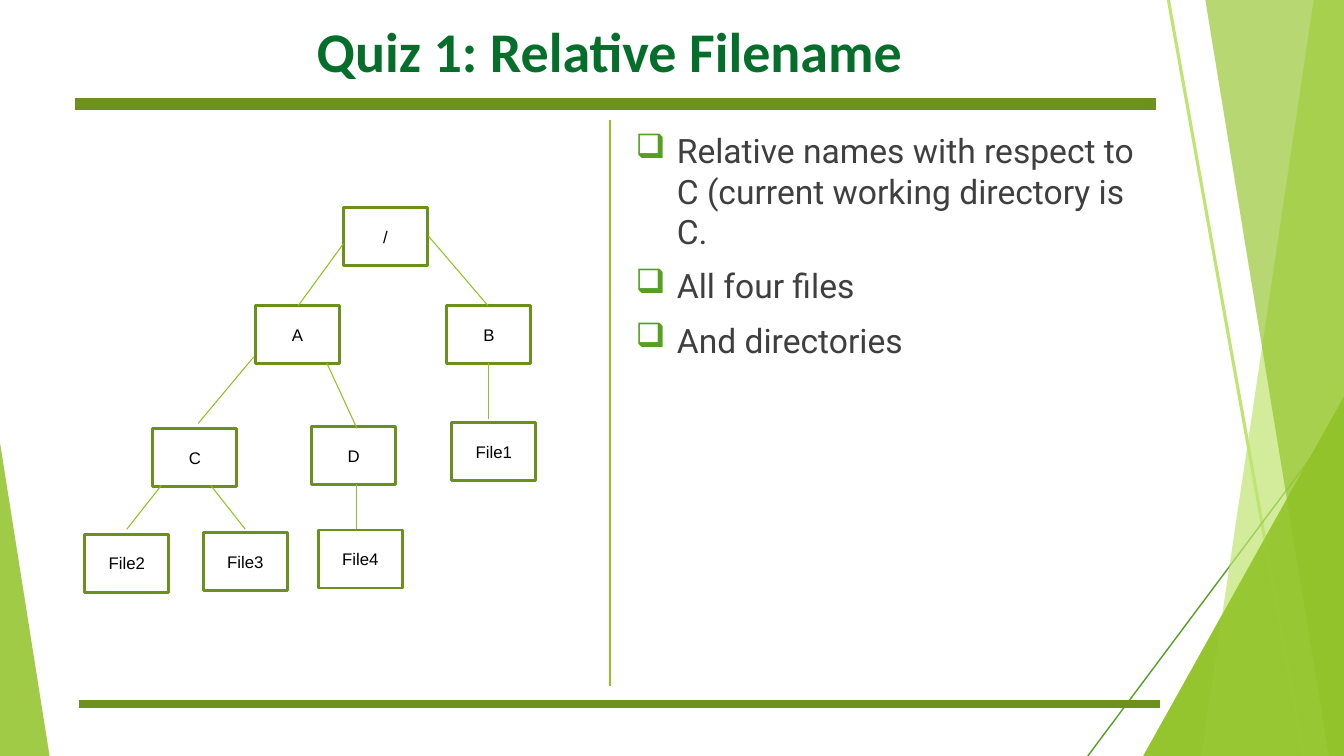
from dataclasses import dataclass

from lxml.etree import SubElement as Sub
from pptx import Presentation
from pptx.dml.color import RGBColor
from pptx.enum.shapes import MSO_CONNECTOR as Link, MSO_SHAPE as Form
from pptx.enum.text import MSO_ANCHOR as Anchor, PP_ALIGN as Align
from pptx.oxml.ns import qn
from pptx.shapes.autoshape import Shape
from pptx.shapes.shapetree import SlideShapes as Shapes
from pptx.text.text import TextFrame as Frame
from pptx.util import Inches, Pt

COLS, ROWS = 16, 9
WIDE, HIGH = Inches(13.333), Inches(7.5)
BOX_W, BOX_H = 1, 0.69

LEAF = RGBColor(0x90, 0xC2, 0x26)
LIME = RGBColor(0xBF, 0xE4, 0x71)
GREEN = RGBColor(0x54, 0xA0, 0x21)
OLIVE = RGBColor(0x6C, 0x91, 0x1C)
MOSS = RGBColor(0x6B, 0x90, 0x1C)
TWIG = RGBColor(0x8E, 0xC2, 0x21)
PINE = RGBColor(0x05, 0x6E, 0x2B)
GREY = RGBColor(0x3F, 0x3F, 0x3F)
BLACK = RGBColor(0, 0, 0)


@dataclass(frozen=True)
class Node:
    name: str
    col: float
    row: float


@dataclass(frozen=True)
class Line:
    col: float
    row: float
    end_col: float
    end_row: float
    color: RGBColor = TWIG
    width: float = 0.75


@dataclass(frozen=True)
class Wedge:
    col: float
    row: float
    cols: float
    rows: float
    tip: float
    alpha: int


@dataclass(frozen=True)
class Band:
    points: tuple[tuple[float, float], ...]
    color: RGBColor
    alpha: int


RIGHT = Wedge(13.61, 4.72, 2.39, 4.28, 1, 80)
LEFT = Wedge(0, 5.27, 0.59, 3.73, 0, 85)

RAYS = (
    Line(13.91, 0, 15.52, 9, LIME, 2.25),
    Line(16, 4.92, 12.95, 9, GREEN, 1),
)
BANDS = (
    Band(((15.64, 0), (16, 0), (16, 9), (14.3, 9)), LIME, 70),
    Band(((14.35, 0), (16, 0), (16, 9), (15.82, 9)), LEAF, 65),
)
RULES = (
    Line(13.76, 1.24, 0.89, 1.24, OLIVE, 8.75),
    Line(13.81, 8.38, 0.94, 8.38, OLIVE, 6),
    Line(7.26, 1.43, 7.26, 8.17, LEAF, 1.75),
)
NODES = (
    Node("/", 4.09, 2.47),
    Node("A", 3.04, 3.64),
    Node("C", 1.82, 5.1),
    Node("B", 5.32, 3.64),
    Node("D", 3.71, 5.08),
    Node("File1", 5.38, 5.03),
    Node("File2", 1.01, 6.36),
    Node("File4", 3.79, 6.31),
    Node("File3", 2.42, 6.34),
)
TWIGS = (
    Line(4.09, 2.9, 3.55, 3.64),
    Line(3.02, 4.25, 2.36, 5.04),
    Line(1.92, 5.78, 1.51, 6.3),
    Line(5.81, 4.32, 5.81, 4.99),
    Line(3.89, 4.32, 4.25, 5.1),
    Line(2.51, 5.78, 2.92, 6.3),
    Line(5.1, 2.81, 5.81, 3.64),
    Line(4.25, 5.76, 4.25, 6.3),
)
POINTS = (
    "Relative names with respect to C (current working directory is C.",
    "All four files",
    "And directories",
)


def across(cols: float) -> int:
    return round(WIDE * cols / COLS)


def down(rows: float) -> int:
    return round(HIGH * rows / ROWS)


def area(col: float, row: float, cols: float, rows: float) -> tuple[int, ...]:
    return across(col), down(row), across(cols), down(rows)


def paint(shape: Shape, color: RGBColor, alpha: int) -> None:
    shape.shadow.inherit = False
    shape.fill.solid()
    shape.fill.fore_color.rgb = color
    shape.line.fill.background()
    for tone in shape.element.spPr.iter(qn("a:srgbClr")):
        Sub(tone, qn("a:alpha"), val=str(alpha * 1000))


def draw_wedge(shapes: Shapes, wedge: Wedge) -> None:
    place = area(wedge.col, wedge.row, wedge.cols, wedge.rows)
    shape = shapes.add_shape(Form.ISOSCELES_TRIANGLE, *place)
    shape.adjustments[0] = wedge.tip
    paint(shape, LEAF, wedge.alpha)


def draw_band(shapes: Shapes, band: Band) -> None:
    first, *rest = [(across(col), down(row)) for col, row in band.points]
    pen = shapes.build_freeform(*first)
    pen.add_line_segments(rest)
    paint(pen.convert_to_shape(), band.color, band.alpha)


def draw_line(shapes: Shapes, line: Line) -> None:
    link = shapes.add_connector(
        Link.STRAIGHT, across(line.col), down(line.row),
        across(line.end_col), down(line.end_row))
    link.line.color.rgb = line.color
    link.line.width = Pt(line.width)
    Sub(link.element.spPr, qn("a:effectLst"))


def style(frame: Frame, font: str, size: int, color: RGBColor,
          bold: bool = False) -> None:
    for para in frame.paragraphs:
        for run in para.runs:
            run.font.name = font
            run.font.size = Pt(size)
            run.font.color.rgb = color
            run.font.bold = bold


def draw_node(shapes: Shapes, node: Node) -> None:
    place = area(node.col, node.row, BOX_W, BOX_H)
    box = shapes.add_shape(Form.RECTANGLE, *place)
    box.shadow.inherit = False
    box.fill.background()
    box.line.color.rgb = MOSS
    box.line.width = Pt(2)
    frame = box.text_frame
    frame.text = node.name
    frame.vertical_anchor = Anchor.MIDDLE
    frame.paragraphs[0].alignment = Align.CENTER
    style(frame, "Arial", 12, BLACK)


def add_text(shapes: Shapes, text: str, place: tuple[int, ...]) -> Frame:
    frame = shapes.add_textbox(*place).text_frame
    frame.word_wrap = True
    frame.margin_left = frame.margin_right = Inches(0.1)
    frame.margin_top = frame.margin_bottom = Inches(0.1)
    frame.text = text
    return frame


def draw_title(shapes: Shapes) -> None:
    place = area(0.89, 0.04, 12.88, 1.21)
    frame = add_text(shapes, "Quiz 1: Relative Filename ", place)
    frame.vertical_anchor = Anchor.MIDDLE
    frame.paragraphs[0].alignment = Align.CENTER
    frame.paragraphs[0].line_spacing = 0.9
    style(frame, "Calibri", 40, PINE, True)


def draw_list(shapes: Shapes) -> None:
    frame = add_text(shapes, "\n".join(POINTS), area(7.34, 1.43, 6.36, 6.74))
    for para in frame.paragraphs:
        para.space_before = Pt(10)
        props = para._p.get_or_add_pPr()
        props.set("marL", str(Inches(0.5)))
        props.set("indent", str(Inches(-0.41)))
        tint = Sub(props, qn("a:buClr"))
        Sub(tint, qn("a:srgbClr"), val=str(GREEN))
        Sub(props, qn("a:buChar"), char="❑")
    style(frame, "Roboto", 24, GREY)


def main() -> None:
    deck = Presentation()
    deck.slide_width, deck.slide_height = WIDE, HIGH
    shapes = deck.slides.add_slide(deck.slide_layouts[6]).shapes
    for wedge in (RIGHT, LEFT):
        draw_wedge(shapes, wedge)
    for ray in RAYS:
        draw_line(shapes, ray)
    for band in BANDS:
        draw_band(shapes, band)
    draw_wedge(shapes, RIGHT)
    for rule in RULES:
        draw_line(shapes, rule)
    draw_title(shapes)
    draw_list(shapes)
    for node in NODES:
        draw_node(shapes, node)
    for twig in TWIGS:
        draw_line(shapes, twig)
    deck.save("out.pptx")


if __name__ == "__main__":
    main()
